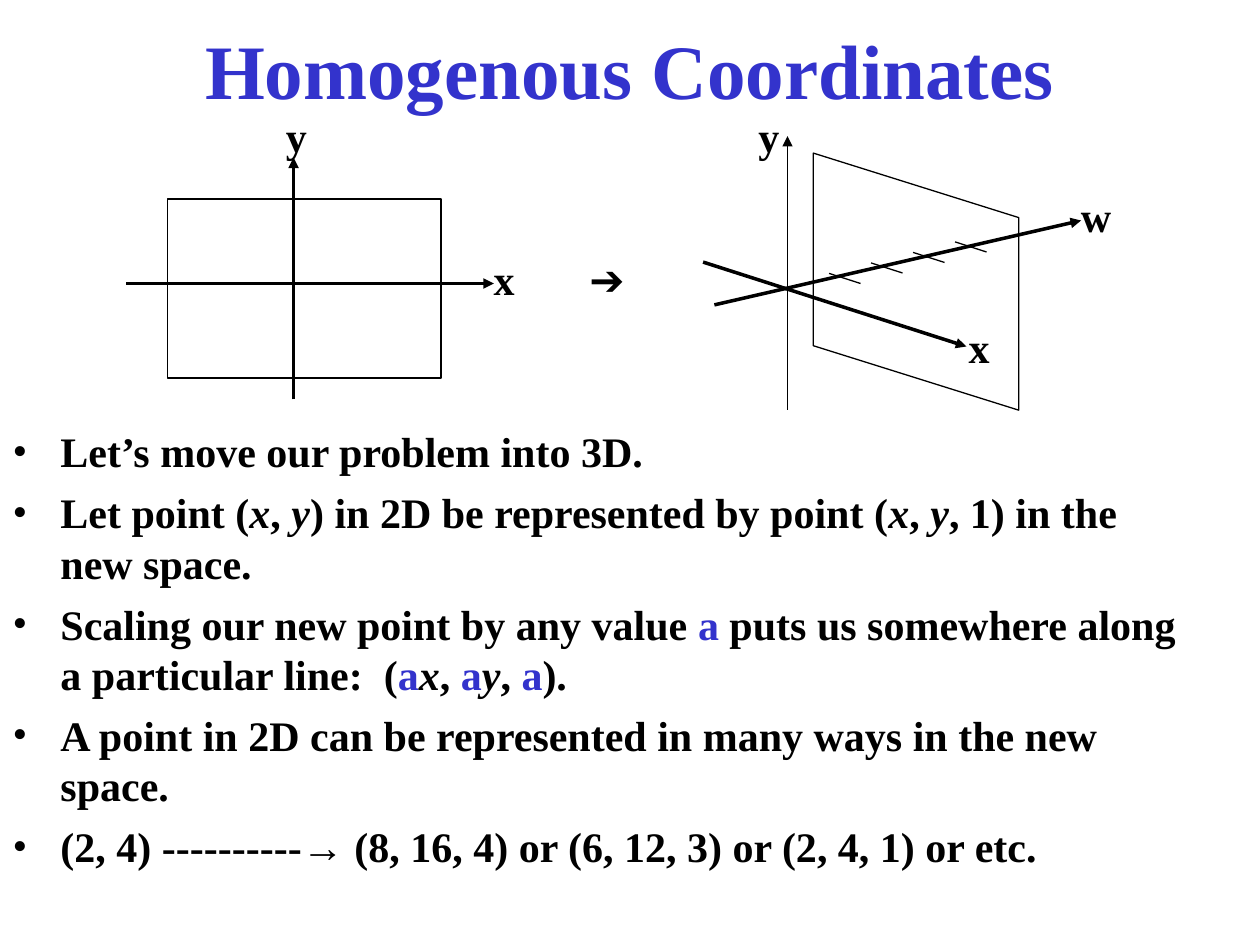
from lxml import etree
from pptx import Presentation
from pptx.dml.color import RGBColor
from pptx.enum.shapes import MSO_CONNECTOR, MSO_SHAPE
from pptx.enum.text import MSO_ANCHOR, MSO_AUTO_SIZE, PP_ALIGN
from pptx.oxml.ns import qn
from pptx.util import Inches, Pt

STRAIGHT = MSO_CONNECTOR.STRAIGHT
RECT, SLANT = MSO_SHAPE.RECTANGLE, MSO_SHAPE.PARALLELOGRAM
MIDDLE, TOP = MSO_ANCHOR.MIDDLE, MSO_ANCHOR.TOP
NO_FIT, GROW = MSO_AUTO_SIZE.NONE, MSO_AUTO_SIZE.SHAPE_TO_FIT_TEXT
CENTER, LEFT = PP_ALIGN.CENTER, PP_ALIGN.LEFT
BLACK = RGBColor(0, 0, 0)
BLUE = RGBColor(0x33, 0x33, 0xCC)
SERIF, SANS = "Times New Roman", "Arial"

BASE = {"name": SERIF, "size": Pt(24), "bold": True, "italic": False}
MARKS = {
    "x": {"italic": True},
    "y": {"italic": True},
    "a": {"color": BLUE},
    "→": {"name": SANS},
}
POINTS = [
    "Let’s move our problem into 3D.",
    "Let point (|x|, |y|) in 2D be represented by point (|x|, |y|, 1) in the new space.",
    "Scaling our new point by any value |a| puts us somewhere along a particular line:  (|a|x|, |a|y|, |a|).",
    "A point in 2D can be represented in many ways in the new space.",
    "(2, 4) ----------|→| (8, 16, 4) or (6, 12, 3) or (2, 4, 1) or etc.",
]
PLANES = [
    (RECT, 1.33, 1.58, 2.17, 1.42, 0),
    (SLANT, 6.25, 1.42, 2.04, 1.63, 270),
]
AXES = [
    (1, 2.25, 3.92, 2.25, 2),
    (2.33, 3.17, 2.33, 1.25, 2),
    (6.25, 3.25, 6.25, 1.08, 0.75),
    (5.58, 2.08, 7.67, 2.75, 2),
    (5.67, 2.42, 8.58, 1.75, 2),
]
TICKS = [(6.58 + i / 3, 2.17 - i / 12, 6.83 + i / 3, 2.25 - i / 12, 0.75)
         for i in range(4)]
LABELS = [
    ("y", 2.17, 0.83, 0.36, SERIF),
    ("y", 5.92, 0.83, 0.36, SERIF),
    ("x", 3.82, 1.96, 0.36, SERIF),
    ("x", 7.59, 2.5, 0.36, SERIF),
    ("w", 8.48, 1.46, 0.44, SERIF),
    ("➔", 4.58, 1.96, 0.53, SANS),
]


def style(font, **extra):
    look = {**BASE, "color": BLACK, **extra}
    font.color.rgb = look.pop("color")
    for key, val in look.items():
        setattr(font, key, val)


def place(shape, left, top, width, height):
    shape.left, shape.top = Inches(left), Inches(top)
    shape.width, shape.height = Inches(width), Inches(height)


deck = Presentation()
deck.slide_width, deck.slide_height = Inches(10), Inches(7.5)
slide = deck.slides.add_slide(deck.slide_layouts[1])
shapes = slide.shapes

title = shapes.title
place(title, 0.75, -0.08, 8.5, 1.25)
frame = title.text_frame
frame.auto_size, frame.vertical_anchor = NO_FIT, MIDDLE
para = frame.paragraphs[0]
para.alignment = CENTER
run = para.add_run()
run.text = "Homogenous Coordinates"
style(run.font, size=Pt(44), color=BLUE)

body = slide.placeholders[1]
place(body, 0, 3.33, 9.5, 3.92)
frame = body.text_frame
frame.auto_size, frame.vertical_anchor = NO_FIT, TOP
for i, point in enumerate(POINTS):
    para = frame.add_paragraph() if i else frame.paragraphs[0]
    para.alignment = LEFT
    para.space_before = Pt(6 if i else 0)
    props = para._p.get_or_add_pPr()
    props.set("marL", str(Inches(0.38)))
    props.set("indent", str(Inches(-0.38)))
    tint = etree.SubElement(props, qn("a:buClr"))
    etree.SubElement(tint, qn("a:srgbClr"), val=str(BLACK))
    etree.SubElement(props, qn("a:buFont"), typeface=SERIF)
    etree.SubElement(props, qn("a:buChar"), char="•")
    style(para.font)
    for part in point.split("|"):
        run = para.add_run()
        run.text = part
        style(run.font, **MARKS.get(part, {}))

for kind, left, top, width, height, turn in PLANES:
    plane = shapes.add_shape(kind, Inches(left), Inches(top), Inches(width), Inches(height))
    plane.shadow.inherit = False
    plane.fill.background()
    plane.line.color.rgb = BLACK
    plane.line.width = Pt(0.75)
    plane.rotation = turn
    if kind == SLANT:
        plane.adjustments[0] = 0.314

for x1, y1, x2, y2, thick in AXES + TICKS:
    line = shapes.add_connector(STRAIGHT, Inches(x1), Inches(y1), Inches(x2), Inches(y2))
    line.line.color.rgb = BLACK
    line.line.width = Pt(thick)
    props = line._element.spPr
    if (x1, y1, x2, y2, thick) in AXES:
        etree.SubElement(props.find(qn("a:ln")), qn("a:tailEnd"), type="triangle")
    etree.SubElement(props, qn("a:effectLst"))

for text, left, top, width, face in LABELS:
    box = shapes.add_textbox(Inches(left), Inches(top), Inches(width), Inches(0.5))
    frame = box.text_frame
    frame.word_wrap, frame.auto_size = False, GROW
    run = frame.paragraphs[0].add_run()
    run.text = text
    style(run.font, name=face)

deck.save("out.pptx")
